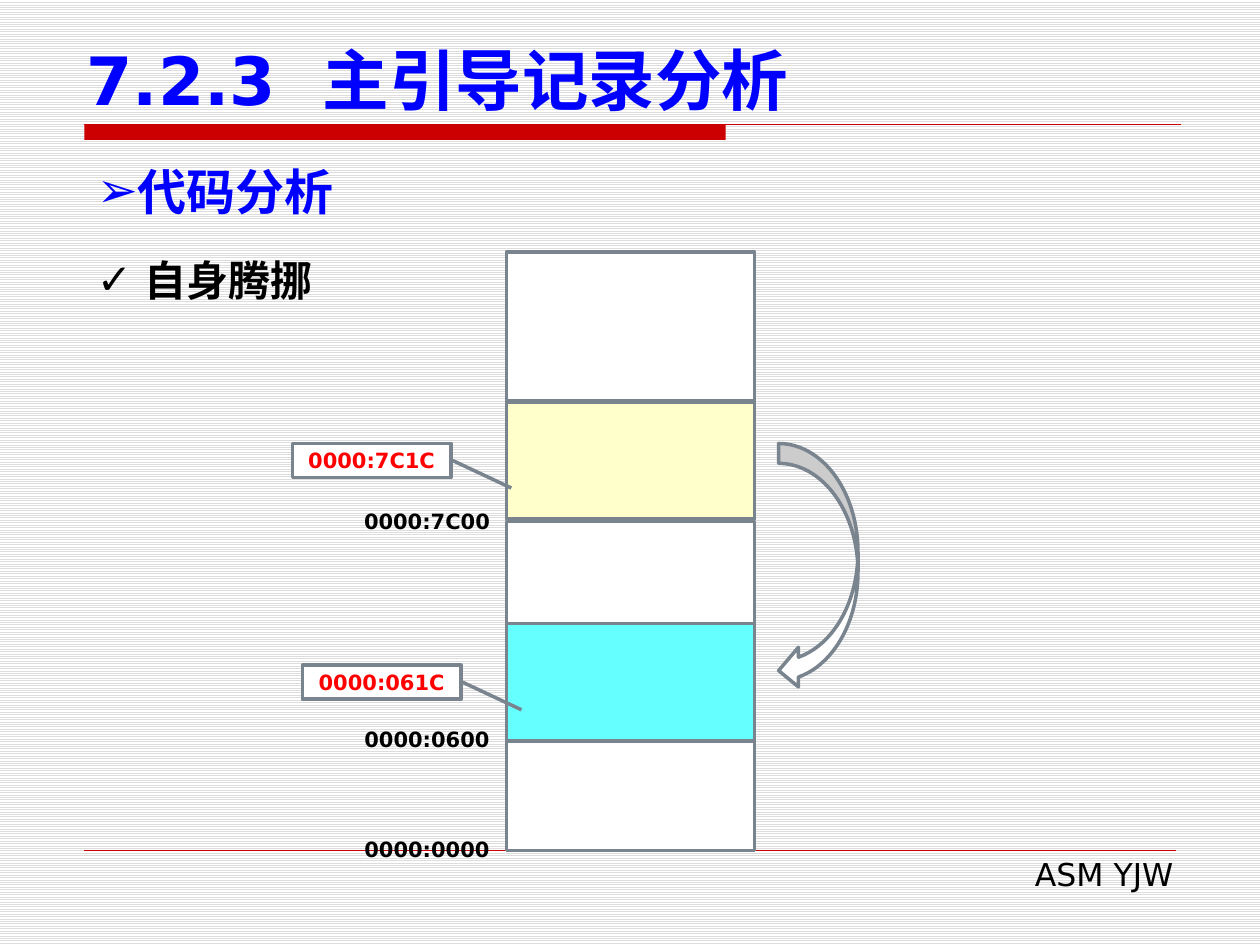
from lxml import etree
from pptx import Presentation
from pptx.dml.color import RGBColor
from pptx.enum import dml, shapes, text
from pptx.oxml import ns
from pptx.util import Inches, Pt

BLACK = RGBColor(0, 0, 0)
WHITE = RGBColor(255, 255, 255)
BLUE = RGBColor(0, 0, 255)
RED = RGBColor(255, 0, 0)
RULE_RED = RGBColor(204, 0, 0)
STRIPE = RGBColor(221, 221, 221)
OUTLINE = RGBColor(121, 132, 143)
CYAN = RGBColor(102, 255, 255)
CREAM = RGBColor(255, 255, 204)
LATIN, CHINESE = "DejaVu Sans", "Noto Sans CJK SC"

TITLE = "7.2.3  主引导记录分析"
HEADING = "代码分析"
SUBHEADING = "自身腾挪"
FOOTER = "ASM YJW"
MEMORY_LEFT, MEMORY_WIDTH = 4.02, 1.97
MEMORY = [(2, 1.18, WHITE), (4.95, 0.93, CYAN), (5.88, 0.87, WHITE),
          (3.19, 0.93, CREAM), (4.14, 0.81, WHITE)]
ADDRESSES = [("0000:0000", 6.59), ("0000:0600", 5.72), ("0000:7C00", 3.99)]
CALLOUTS = [("0000:7C1C", 2.32, 3.52), ("0000:061C", 2.4, 5.28)]
CALLOUT_POINTS = (0.5, 1.01, 1.31, 1.38)
RULES = [(0.99, 9.37, 0.75), (6.75, 9.33, 0.25)]

presentation = Presentation()
presentation.slide_width, presentation.slide_height = Inches(10), Inches(7.5)
slide = presentation.slides.add_slide(presentation.slide_layouts[6])
background = slide.background.fill
background.patterned()
background.pattern = dml.MSO_PATTERN.LIGHT_HORIZONTAL
background.fore_color.rgb = STRIPE
background.back_color.rgb = WHITE


def write(shape, words, size, color, bold=True, align=text.PP_ALIGN.LEFT,
          anchor=text.MSO_ANCHOR.TOP, font=LATIN):
    frame = shape.text_frame
    frame.word_wrap = True
    frame.vertical_anchor = anchor
    paragraph = frame.paragraphs[0]
    paragraph.text = words
    paragraph.alignment = align
    paragraph.font.name = font
    paragraph.font.size = Pt(size)
    paragraph.font.bold = bold
    paragraph.font.color.rgb = color
    east_asian = etree.SubElement(paragraph.font._element, ns.qn("a:ea"))
    east_asian.set("typeface", CHINESE)
    return paragraph


def add_text(box, words, size, color, **style):
    shape = slide.shapes.add_textbox(*map(Inches, box))
    return write(shape, words, size, color, **style)


def add_shape(kind, box, fill=WHITE, line=OUTLINE):
    shape = slide.shapes.add_shape(kind, *map(Inches, box))
    shape.shadow.inherit = False
    shape.fill.solid()
    shape.fill.fore_color.rgb = fill
    if line is None:
        shape.line.fill.background()
    else:
        shape.line.color.rgb = line
        shape.line.width = Pt(2)
    return shape


def add_bullet(paragraph, character, indent=0):
    properties = paragraph._p.get_or_add_pPr()
    properties.set("marL", str(Inches(indent)))
    properties.set("indent", str(-Inches(indent)))
    bullet_font = etree.SubElement(properties, ns.qn("a:buFont"))
    bullet_font.set("typeface", LATIN)
    bullet = etree.SubElement(properties, ns.qn("a:buChar"))
    bullet.set("char", character)
    defaults = properties.find(ns.qn("a:defRPr"))
    if defaults is not None:
        properties.append(defaults)


add_shape(shapes.MSO_SHAPE.RECTANGLE, (0.67, 0.99, 5.09, 0.12), RULE_RED, None)
for top, right, width in RULES:
    rule = slide.shapes.add_connector(
        shapes.MSO_CONNECTOR.STRAIGHT, *map(Inches, (0.67, top, right, top)))
    rule.line.color.rgb = RULE_RED
    rule.line.width = Pt(width)
    etree.SubElement(rule._element.spPr, ns.qn("a:effectLst"))

add_text((3.82, 6.74, 5.59, 0.4), FOOTER, 18, BLACK, bold=False,
         align=text.PP_ALIGN.RIGHT)
add_text((0.59, 0.28, 9.06, 0.71), TITLE, 38, BLUE,
         anchor=text.MSO_ANCHOR.BOTTOM)
heading = add_text((0.67, 1.23, 8.66, 0.57), HEADING, 28, BLUE,
                   align=text.PP_ALIGN.JUSTIFY)
add_bullet(heading, "➢")
subheading = add_text((0.67, 1.87, 8.66, 0.54), SUBHEADING, 24, BLACK,
                      font=CHINESE)
subheading.line_spacing = Pt(36)
add_bullet(subheading, "✓", 0.38)

for top, height, fill in MEMORY:
    add_shape(shapes.MSO_SHAPE.RECTANGLE,
              (MEMORY_LEFT, top, MEMORY_WIDTH, height), fill)
for address, top in ADDRESSES:
    add_text((2.76, top, 1.26, 0.3), address, 12, BLACK,
             align=text.PP_ALIGN.CENTER)
for address, left, top in CALLOUTS:
    callout = add_shape(shapes.MSO_SHAPE.LINE_CALLOUT_1, (left, top, 1.26, 0.27))
    for index, value in enumerate(CALLOUT_POINTS):
        callout.adjustments[index] = value
    write(callout, address, 12, RED, align=text.PP_ALIGN.CENTER,
          anchor=text.MSO_ANCHOR.MIDDLE)
add_shape(shapes.MSO_SHAPE.CURVED_LEFT_ARROW, (6.18, 3.52, 0.63, 1.96))

presentation.save("out.pptx")
